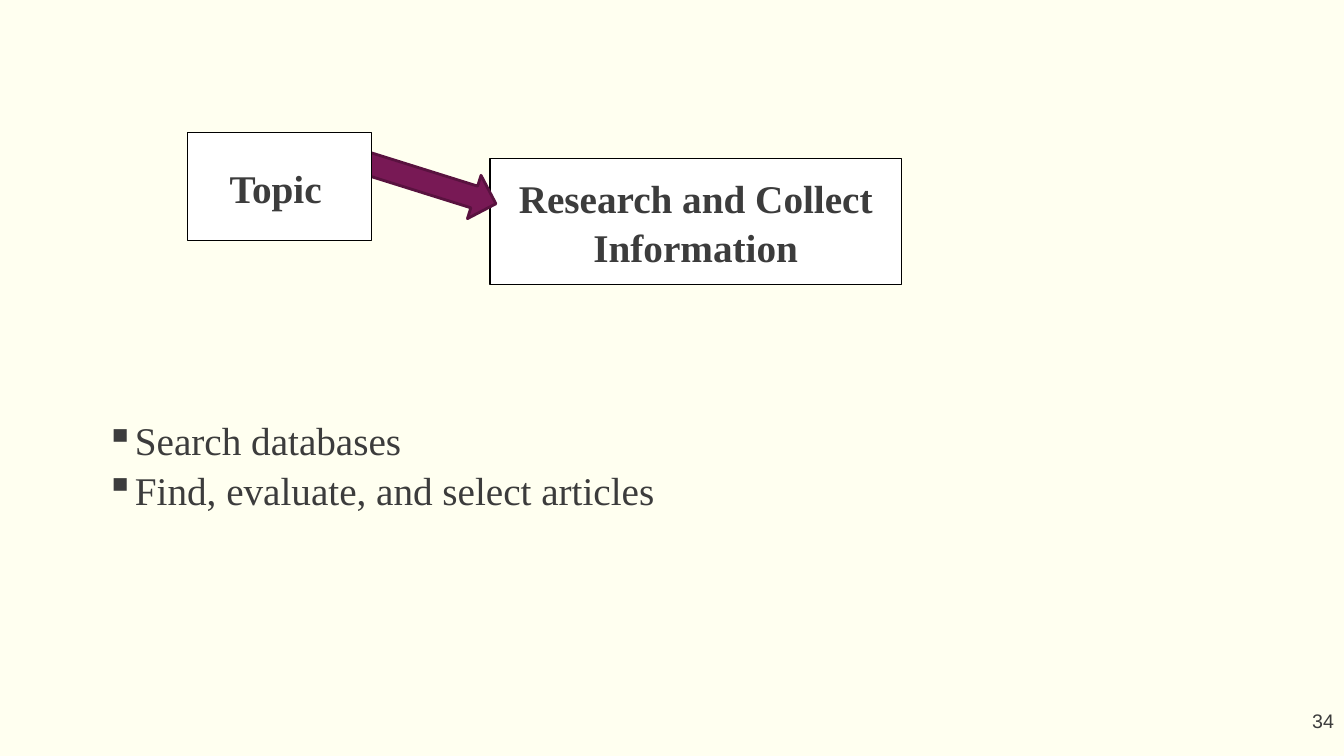
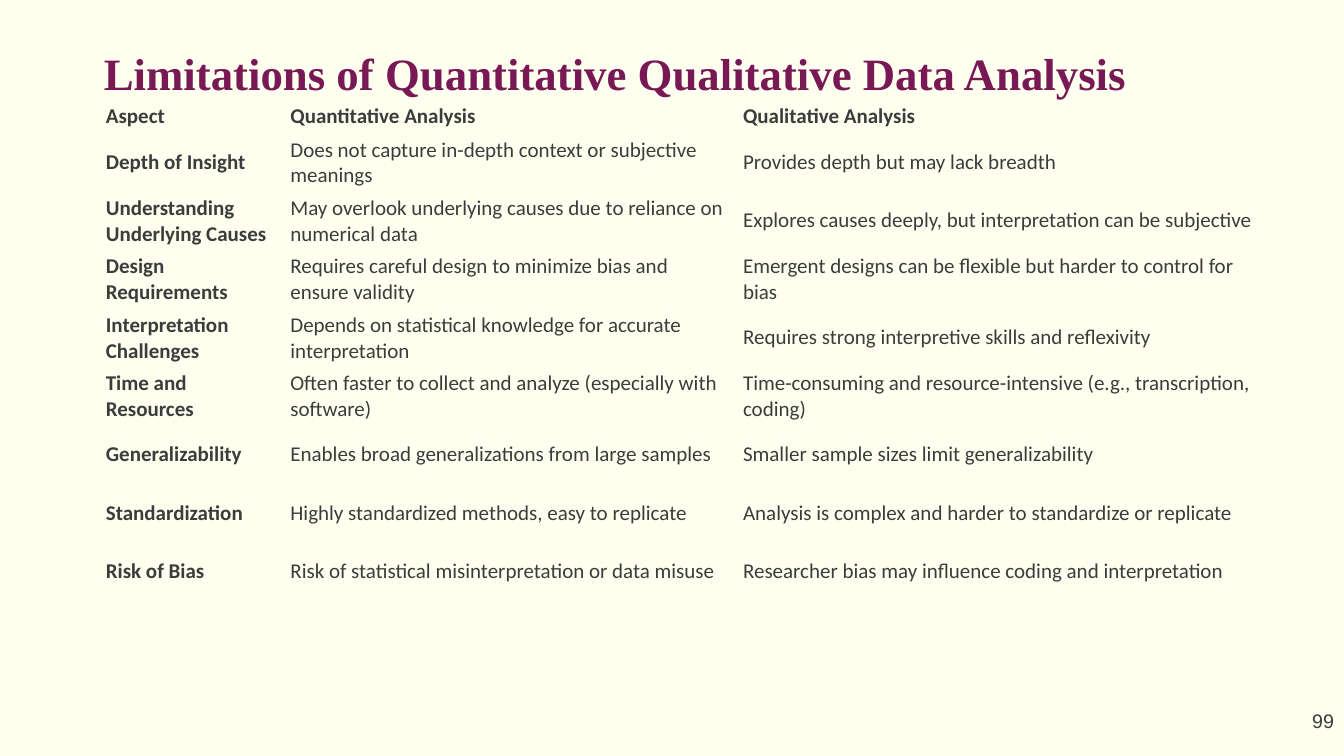
from lxml.etree import SubElement
from pptx import Presentation
from pptx.dml.color import RGBColor
from pptx.enum.shapes import MSO_SHAPE as SHAPE
from pptx.enum.text import MSO_ANCHOR as ANCHOR, PP_ALIGN as ALIGN
from pptx.oxml.ns import qn
from pptx.util import Inches, Pt

PAPER, WHITE, BLACK = "FFFFF0", "FFFFFF", "000000"
INK, PLUM, DARK = "3C3C3C", "781955", "59123F"
SERIF, SANS, TABLE = "Times New Roman", "Arial", "Calibri"
PLAIN = "{2D5ABB26-0587-4C30-8999-92F81FD0307C}"
ROWS = [
    ("Aspect", "Quantitative Analysis", "Qualitative Analysis"),
    ("Depth of Insight",
     "Does not capture in-depth context or subjective meanings",
     "Provides depth but may lack breadth"),
    ("Understanding Underlying Causes",
     "May overlook underlying causes due to reliance on numerical data",
     "Explores causes deeply, but interpretation can be subjective"),
    ("Design Requirements",
     "Requires careful design to minimize bias and ensure validity",
     "Emergent designs can be flexible but harder to control for bias"),
    ("Interpretation Challenges",
     "Depends on statistical knowledge for accurate interpretation",
     "Requires strong interpretive skills and reflexivity"),
    ("Time and Resources",
     "Often faster to collect and analyze (especially with software)",
     "Time-consuming and resource-intensive (e.g., transcription, coding)"),
    ("Generalizability",
     "Enables broad generalizations from large samples",
     "Smaller sample sizes limit generalizability"),
    ("Standardization",
     "Highly standardized methods, easy to replicate",
     "Analysis is complex and harder to standardize or replicate"),
    ("Risk of Bias",
     "Risk of statistical misinterpretation or data misuse",
     "Researcher bias may influence coding and interpretation"),
]


def paint(target, color):
    """Give a fill or a line a solid colour."""
    target.solid()
    target.fore_color.rgb = RGBColor.from_string(color)


def style(frame, face, size, color=INK, bold=False, align=ALIGN.LEFT, space=None):
    """Format every run and paragraph of a text frame."""
    for para in frame.paragraphs:
        para.alignment = align
        para.line_spacing = space
        for run in para.runs:
            font = run.font
            font.name, font.size, font.bold = face, Pt(size), bold
            font.color.rgb = RGBColor.from_string(color)


def add_text(slide, box, text, anchor=ANCHOR.TOP):
    """Add a wrapping text box and return its frame."""
    frame = slide.shapes.add_textbox(*map(Inches, box)).text_frame
    frame.word_wrap = True
    frame.vertical_anchor = anchor
    frame.text = text
    return frame


def add_shape(slide, kind, box, fill, line, width):
    """Add a flat filled shape with an outline."""
    shape = slide.shapes.add_shape(kind, *map(Inches, box))
    shape.shadow.inherit = False
    paint(shape.fill, fill)
    paint(shape.line.fill, line)
    shape.line.width = Pt(width)
    return shape


def add_step(slide, box, text):
    """Add a white step box with a bold label."""
    shape = add_shape(slide, SHAPE.RECTANGLE, box, WHITE, BLACK, 0.75)
    frame = shape.text_frame
    frame.text = text
    frame.vertical_anchor = ANCHOR.MIDDLE
    style(frame, SERIF, 28, bold=True, align=ALIGN.CENTER, space=1.05)
    return frame


def add_list(slide, box, items):
    """Add a list with square bullets."""
    frame = add_text(slide, box, "\n".join(items))
    style(frame, SERIF, 28, space=1.05)
    for para in frame.paragraphs:
        SubElement(para._p.get_or_add_pPr(), qn("a:buChar"), char="▪")


def add_title(slide, box, text):
    """Add the slide title without insets."""
    frame = add_text(slide, box, text)
    frame.margin_left = frame.margin_right = 0
    frame.margin_top = frame.margin_bottom = 0
    style(frame, SERIF, 32, PLUM, bold=True)


def add_table(slide, box, rows, widths):
    """Add an unfilled table with a bold first row and column."""
    left, top, width, height = box
    shape = slide.shapes.add_table(len(rows), len(widths), *map(Inches, box))
    table = shape.table
    table.horz_banding = False
    table._tbl.tblPr.find(qn("a:tableStyleId")).text = PLAIN
    for col, size in zip(table.columns, widths):
        col.width = Inches(size)
    head = 0.33
    for r, texts in enumerate(rows):
        size = (height - head) / (len(rows) - 1) if r else head
        table.rows[r].height = Inches(size)
        for c, text in enumerate(texts):
            cell = table.cell(r, c)
            cell.fill.background()
            cell.vertical_anchor = ANCHOR.MIDDLE
            cell.margin_left = cell.margin_right = Inches(0.08)
            cell.margin_top = cell.margin_bottom = Inches(0.04)
            cell.text_frame.text = text
            style(cell.text_frame, TABLE, 15, bold=r == 0 or c == 0)


def add_slide(prs, number):
    """Add a blank slide with its background and number."""
    slide = prs.slides.add_slide(prs.slide_layouts[6])
    paint(slide.background.fill, PAPER)
    frame = add_text(slide, (10.22, 6.95, 3.11, 0.4), str(number), ANCHOR.MIDDLE)
    style(frame, SANS, 14, align=ALIGN.RIGHT)
    return slide


def step_slide(prs):
    """Build the slide on research steps."""
    slide = add_slide(prs, 34)
    add_step(slide, (4.86, 1.57, 4.08, 1.25), "Research and Collect Information")
    arrow = add_shape(slide, SHAPE.RIGHT_ARROW, (3.57, 1.59, 1.38, 0.45),
                      PLUM, DARK, 2)
    arrow.rotation = 17.4
    topic = add_step(slide, (1.86, 1.31, 1.83, 1.08), "Topic")
    topic.margin_right = Inches(0.18)
    add_list(slide, (0.95, 4.06, 8.92, 1.04),
             ("Search databases", "Find, evaluate, and select articles"))


def limit_slide(prs):
    """Build the slide that compares limitations."""
    slide = add_slide(prs, 99)
    add_title(slide, (1.03, 0.45, 11.55, 0.49),
              "Limitations of Quantitative Qualitative Data Analysis")
    add_table(slide, (0.97, 0.99, 11.67, 4.97), ROWS, (1.83, 4.49, 5.35))


def main():
    """Build and save the deck."""
    prs = Presentation()
    prs.slide_width, prs.slide_height = Inches(13.33), Inches(7.5)
    step_slide(prs)
    limit_slide(prs)
    prs.save("out.pptx")


if __name__ == "__main__":
    main()
